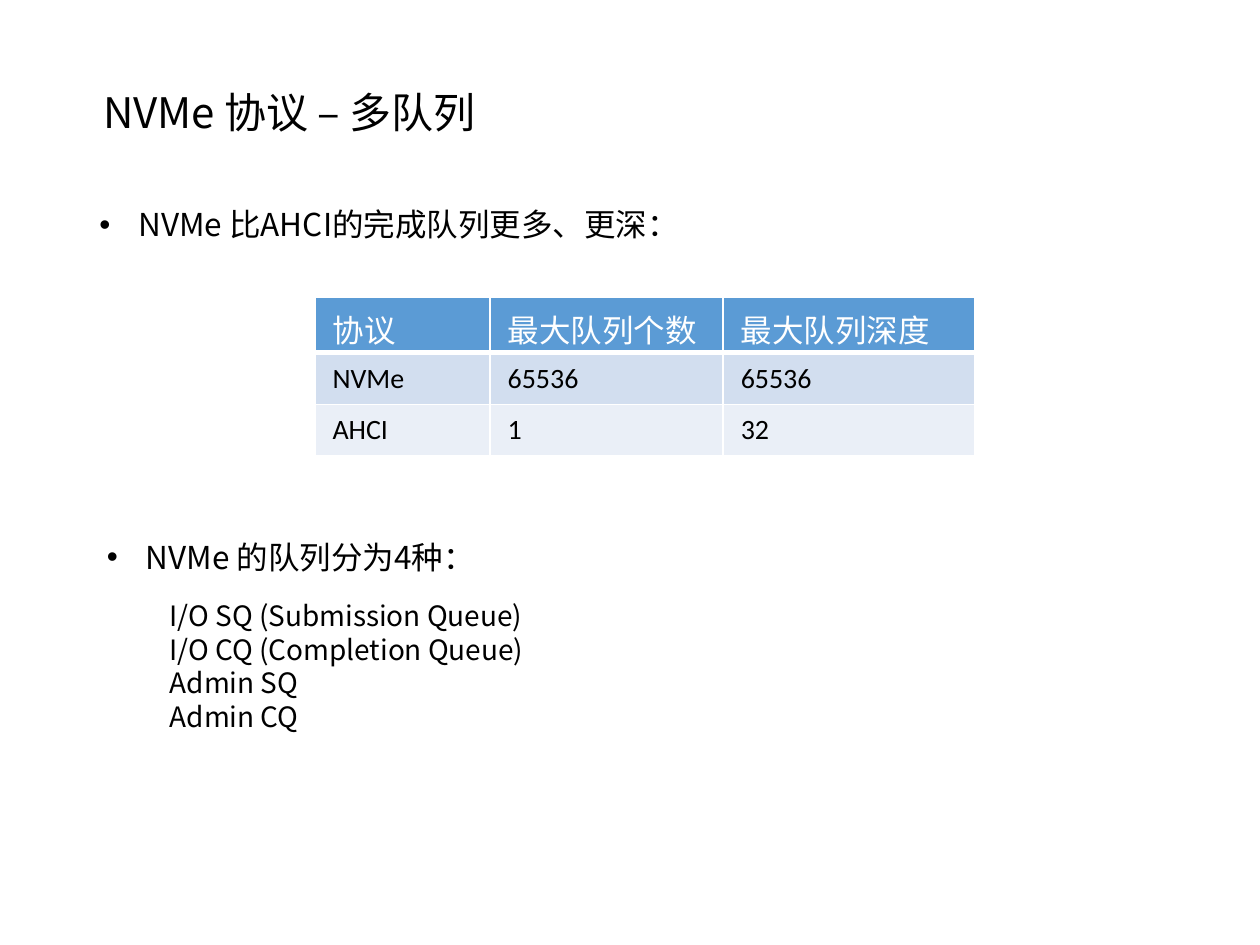
from lxml import etree
from pptx import Presentation, util as u
from pptx.dml.color import RGBColor
from pptx.enum import text
from pptx.oxml.ns import qn

COLORS = {"black": "000000", "white": "FFFFFF", "header": "5B9BD5",
          "band_dark": "D2DEEF", "band_light": "EAEFF7"}
CJK_FONT, LATIN_FONT = "Noto Sans CJK SC", "Calibri"
BULLET_INDENT = 0.31

# Each paragraph: runs of (text, points), line spacing, bulleted
TEXT_BOXES = [
    {"at": (0.72, 0.64, 5.23, 0.5), "wrap": True,
     "paragraphs": [([("NVMe 协议 – 多队列", 24)], None, False)]},
    {"at": (0.69, 1.58, 5, 0.4), "wrap": False,
     "paragraphs": [([("NVMe 比AHCI的完成队列更多、更深：", 18)], None, True)]},
    {"at": (0.75, 4.07, 4.74, 1.82), "wrap": True,
     "paragraphs": [
         ([("NVMe 的队列分为4种：", 18)], 1.5, True),
         ([("\t", 18), ("I/O SQ (Submission Queue)", 16)], 1.5, False),
         ([("\tI/O CQ (Completion Queue)", 16)], None, False),
         ([("\tAdmin SQ", 16)], None, False),
         ([("\tAdmin CQ", 16)], None, False)]},
]
QUEUE_ROWS = [("协议", "最大队列个数", "最大队列深度"),
              ("NVMe", "65536", "65536"),
              ("AHCI", "1", "32")]
TABLE_LEFT, TABLE_TOP = 2.5, 2.36
COLUMN_WIDTHS = (1.39, 1.85, 2)
# Height, fill, font, points, text colour, width of the line below
ROW_STYLES = [(0.43, "header", CJK_FONT, 18, "white", 3),
              (0.41, "band_dark", LATIN_FONT, 16, "black", 1),
              (0.41, "band_light", LATIN_FONT, 16, "black", 1)]
CELL_FORMAT = {"margin_left": u.Inches(0.14), "margin_right": u.Inches(0.14),
               "margin_top": u.Inches(0.07), "margin_bottom": u.Inches(0.07)}


def color(name):
    return RGBColor.from_string(COLORS[name])


def add_run(paragraph, words, font_name, points, color_name):
    run = paragraph.add_run()
    run.text = words
    for name, value in {"name": font_name, "size": u.Pt(points)}.items():
        setattr(run.font, name, value)
    run.font.color.rgb = color(color_name)
    latin = run.font._element.find(qn("a:latin"))
    east_asian = etree.Element(qn("a:ea"), typeface=font_name)
    latin.addnext(east_asian)


def add_bullet(paragraph):
    properties = paragraph._p.get_or_add_pPr()
    indent = u.Inches(BULLET_INDENT)
    properties.set("marL", str(indent))
    properties.set("indent", str(-indent))
    etree.SubElement(properties, qn("a:buFont"), typeface="Arial")
    etree.SubElement(properties, qn("a:buChar"), char="•")


def add_text_box(slide, box):
    frame = slide.shapes.add_textbox(*map(u.Inches, box["at"])).text_frame
    frame.word_wrap = box["wrap"]
    frame.auto_size = text.MSO_AUTO_SIZE.SHAPE_TO_FIT_TEXT
    for index, (runs, spacing, bulleted) in enumerate(box["paragraphs"]):
        paragraph = frame.add_paragraph() if index else frame.paragraphs[0]
        if bulleted:
            add_bullet(paragraph)
        if spacing:
            paragraph.line_spacing = spacing
        for words, points in runs:
            add_run(paragraph, words, CJK_FONT, points, "black")


def set_borders(cell, top, bottom):
    """Draw white cell lines, placed before the fill as the schema asks."""
    properties = cell._tc.get_or_add_tcPr()
    widths = {"a:lnL": 1, "a:lnR": 1, "a:lnT": top, "a:lnB": bottom}
    for position, (tag, width) in enumerate(widths.items()):
        line = etree.Element(qn(tag), w=str(u.Pt(width)))
        fill = etree.SubElement(line, qn("a:solidFill"))
        etree.SubElement(fill, qn("a:srgbClr"), val=COLORS["white"])
        properties.insert(position, line)


def add_queue_table(slide):
    heights = [style[0] for style in ROW_STYLES]
    frame = (TABLE_LEFT, TABLE_TOP, sum(COLUMN_WIDTHS), sum(heights))
    table = slide.shapes.add_table(len(QUEUE_ROWS), len(COLUMN_WIDTHS),
                                   *map(u.Inches, frame)).table
    for column, width in zip(table.columns, COLUMN_WIDTHS):
        column.width = u.Inches(width)
    line_above = 1
    for row, values, style in zip(table.rows, QUEUE_ROWS, ROW_STYLES):
        height, fill, font_name, points, text_color, line_below = style
        row.height = u.Inches(height)
        for cell, value in zip(row.cells, values):
            for name, setting in CELL_FORMAT.items():
                setattr(cell, name, setting)
            cell.fill.solid()
            cell.fill.fore_color.rgb = color(fill)
            set_borders(cell, line_above, line_below)
            add_run(cell.text_frame.paragraphs[0], value, font_name, points, text_color)
        line_above = line_below


def main():
    presentation = Presentation()
    presentation.slide_width, presentation.slide_height = u.Inches(10), u.Inches(7.5)
    slide = presentation.slides.add_slide(presentation.slide_layouts[6])
    for box in TEXT_BOXES:
        add_text_box(slide, box)
    add_queue_table(slide)
    presentation.save("out.pptx")


if __name__ == "__main__":
    main()
